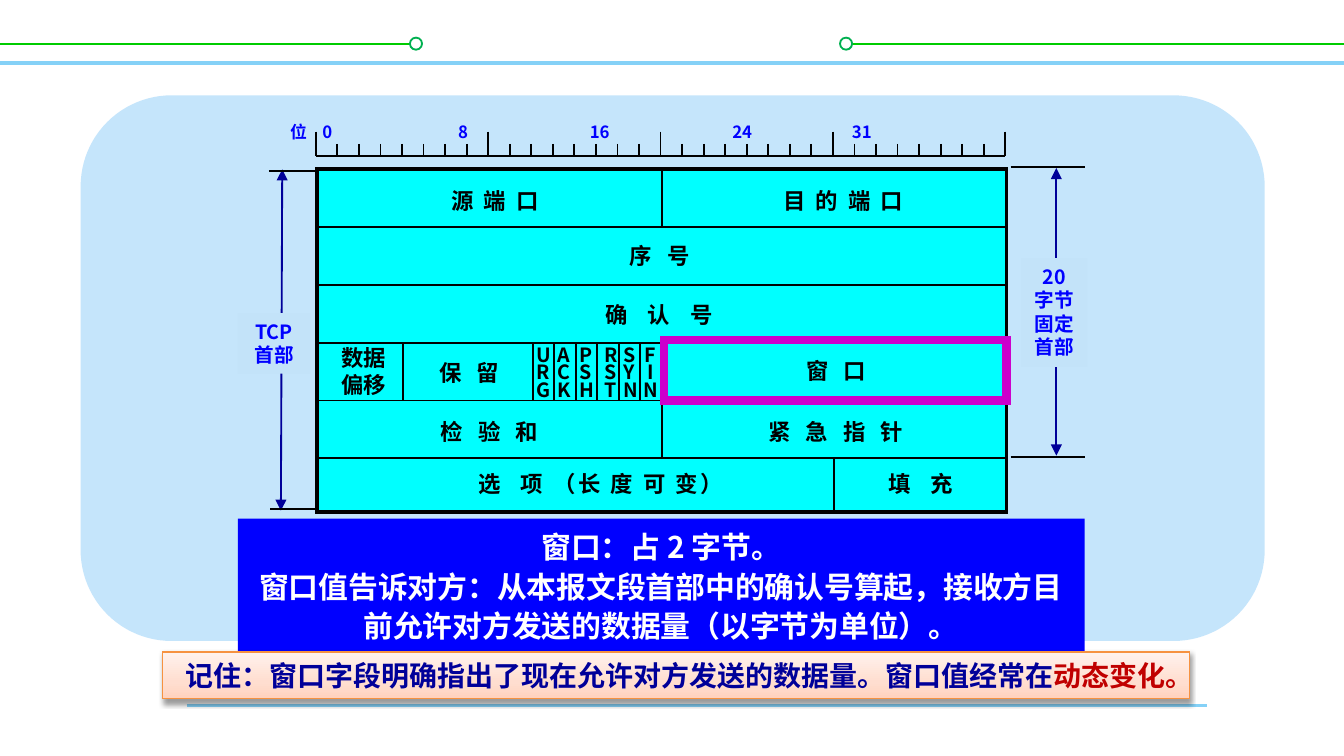
"""Build the slide on the window field of the TCP header."""
from lxml import etree
from pptx import Presentation
from pptx.dml.color import RGBColor
from pptx.enum.shapes import MSO_CONNECTOR, MSO_SHAPE
from pptx.enum.text import MSO_ANCHOR, MSO_AUTO_SIZE, PP_ALIGN
from pptx.oxml import parse_xml
from pptx.oxml.ns import nsdecls, qn
from pptx.util import Inches, Pt

STRAIGHT = MSO_CONNECTOR.STRAIGHT
RECT, ROUND, OVAL = MSO_SHAPE.RECTANGLE, MSO_SHAPE.ROUNDED_RECTANGLE, MSO_SHAPE.OVAL
LEFT, CENTER = PP_ALIGN.LEFT, PP_ALIGN.CENTER
TOP, MIDDLE = MSO_ANCHOR.TOP, MSO_ANCHOR.MIDDLE
GROW = MSO_AUTO_SIZE.SHAPE_TO_FIT_TEXT
FONT = "Noto Sans CJK SC"
PAGE_WIDTH = 10
PAGE_HEIGHT = PAGE_WIDTH * 9 / 16

COLORS = {
    "black": "000000", "white": "FFFFFF", "sky": "85D1F7", "lime": "00CC00",
    "green": "00B050", "panel": "C5E5FB", "label": "C3E3F9", "cyan": "00FFFF",
    "blue": "0000FF", "navy": "000099", "magenta": "CC00CC", "red": "C00000",
    "orange": "F69240",
}
BAR_STOPS = [(0, "FFD2BD"), (35, "FFDED0"), (100, "FFF2ED")]

DECOR_LINES = [
    (1.39, 5.25, 8.98, 5.25, "sky", 1.5), (0, 0.47, 10, 0.47, "sky", 2),
    (0, 0.33, 3.1, 0.33, "lime", 1), (6.25, 0.33, 10, 0.33, "lime", 1),
]
DECOR_RINGS = [3.05, 6.25]

HEAD_LEFT, HEAD_TOP, HEAD_WIDTH, HEAD_HEIGHT = 2.36, 1.26, 5.13, 2.55
ROW, BIT = 0.43, HEAD_WIDTH / 32
DIVIDERS = [(16, 3, 5), (24, 5, 5.93)] + [(bit, 3, 4) for bit in (4, 10, 11, 12, 13, 14, 15)]

FIELDS = [
    (3.26, 1.34, 0.91, LEFT, [("源 端 口", 2)]),
    (5.73, 1.34, 1.18, LEFT, [("目 的 端 口", 2)]),
    (4.45, 1.75, 0.92, CENTER, [("序 号", 3)]),
    (4.29, 2.19, 1.23, CENTER, [("确 认 号", 4)]),
    (3.17, 2.62, 0.69, LEFT, [("保 留", 3)]),
    (5.9, 2.61, 0.69, LEFT, [("窗 口", 3)]),
    (3.18, 3.06, 1.01, LEFT, [("检 验 和", 3)]),
    (5.62, 3.06, 1.33, LEFT, [("紧 急 指 针", 3)]),
    (3.32, 3.45, 2.3, CENTER, [("选 ", 4), ("项 （长 度 可 变）", 2)]),
    (6.51, 3.45, 0.84, LEFT, [("填 充", 4)]),
]
FLAGS = [("URG", 3.89, LEFT), ("ACK", 4.05, LEFT), ("PSH", 4.21, LEFT),
         ("RST", 4.4, LEFT), ("SYN", 4.54, LEFT), ("FIN", 4.68, CENTER)]

RULER_LEFT, RULER_BASE = 2.35, 1.16
RULER_TEXT = "位\t0\t8\t16\t24\t31"
RULER_TABS = [0.24, 1.25, 2.23, 3.29, 4.18]

ARROWS = [(2.1, 1.26, 2.09, 3.8), (7.86, 1.25, 7.86, 3.39)]
LIMITS = [(2, 1.27, 2.35), (2.01, 3.79, 2.36), (7.52, 1.24, 8.07), (7.52, 3.4, 8.07)]
WINDOW_NOTE = [
    "窗口：占 2 字节。",
    "窗口值告诉对方：从本报文段首部中的确认号算起，接收方目前允许对方发送的数据量（以字节为单位）。",
]
REMINDER = [("记住：窗口字段明确指出了现在允许对方发送的数据量。窗口值经常在", "navy"),
            ("动态变化。", "red")]


def rgb(name):
    return RGBColor.from_string(COLORS[name])


def add_line(page, x1, y1, x2, y2, color="black", width=1, arrows=False):
    line = page.shapes.add_connector(STRAIGHT, Inches(x1), Inches(y1), Inches(x2), Inches(y2))
    line.line.color.rgb = rgb(color)
    line.line.width = Pt(width)
    if arrows:
        for end in ("a:headEnd", "a:tailEnd"):
            etree.SubElement(line.line._get_or_add_ln(), qn(end), type="triangle")
    etree.SubElement(line._element.spPr, qn("a:effectLst"))
    return line


def add_box(page, kind, at, fill=None, color=None, width=1):
    box = page.shapes.add_shape(kind, *[Inches(length) for length in at])
    box.shadow.inherit = False
    if fill:
        box.fill.solid()
        box.fill.fore_color.rgb = rgb(fill)
    else:
        box.fill.background()
    if color:
        box.line.color.rgb = rgb(color)
        box.line.width = Pt(width)
        etree.SubElement(box.line._get_or_add_ln(), qn("a:miter"), lim="800000")
    else:
        box.line.fill.background()
    return box


def write(box, paras, size, color="black", align=CENTER, wrap=True, anchor=TOP, spacing=None):
    """Fill a box with paragraphs, each a list of (text, color, tracking) runs or a string."""
    frame = box.text_frame
    frame.word_wrap = wrap
    frame.auto_size = GROW
    frame.vertical_anchor = anchor
    for index, runs in enumerate(paras):
        para = frame.paragraphs[0] if index == 0 else frame.add_paragraph()
        para.alignment = align
        if spacing:
            para.line_spacing = spacing
        for text, tint, tracking in [(runs, color, 0)] if isinstance(runs, str) else runs:
            span = para.add_run()
            span.text = text
            span.font.name = FONT
            span.font.size = Pt(size)
            span.font.bold = True
            span.font.color.rgb = rgb(tint)
            props = span._r.get_or_add_rPr()
            etree.SubElement(props, qn("a:ea"), typeface=FONT)
            if tracking:
                props.set("spc", str(tracking))


def add_text(page, at, paras, size, **style):
    box = page.shapes.add_textbox(*[Inches(length) for length in at])
    write(box, paras, size, **style)
    return box


def draw_header(page):
    header = add_box(page, RECT, (HEAD_LEFT, HEAD_TOP, HEAD_WIDTH, HEAD_HEIGHT), "cyan", "black", 2)
    for row in range(1, 6):
        y = HEAD_TOP + row * ROW
        add_line(page, HEAD_LEFT, y, HEAD_LEFT + HEAD_WIDTH, y)
    middle = HEAD_LEFT + 16 * BIT
    add_line(page, middle, HEAD_TOP, middle, HEAD_TOP + ROW).begin_connect(header, 0)
    for bit, first, last in DIVIDERS:
        x = HEAD_LEFT + bit * BIT
        add_line(page, x, HEAD_TOP + first * ROW, x, HEAD_TOP + last * ROW)
    for left, top, width, align, parts in FIELDS:
        runs = [(text, "black", 135 * (gap - 1)) for text, gap in parts]
        add_text(page, (left, top, width, 0.3), [runs], 12, align=align)
    add_text(page, (2.44, 2.51, 0.54, 0.5), ["数据", "偏移"], 12, align=LEFT, wrap=False)
    for flag, left, align in FLAGS:
        add_text(page, (left, 2.54, 0.32, 0.52), list(flag), 10.5,
                 align=align, wrap=False, spacing=0.75)


def draw_ruler(page):
    add_line(page, RULER_LEFT, RULER_BASE, RULER_LEFT + HEAD_WIDTH, RULER_BASE)
    for bit in range(33):
        x = RULER_LEFT + bit * BIT
        add_line(page, x, 1.07 if bit % 8 else 0.98, x, RULER_BASE)
    scale = add_text(page, (2.06, 0.86, 5.58, 0.25), [RULER_TEXT], 9, color="blue", align=LEFT)
    tabs = etree.SubElement(scale.text_frame.paragraphs[0]._p.get_or_add_pPr(), qn("a:tabLst"))
    for stop in RULER_TABS:
        etree.SubElement(tabs, qn("a:tab"), pos=str(Inches(stop)), algn="l")


def draw_reminder(page):
    bar = add_box(page, RECT, (1.21, 4.85, 7.64, 0.35), "white", "orange", 0.75)
    props = bar._element.spPr
    stops = "".join(f'<a:gs pos="{pos * 1000}"><a:srgbClr val="{tint}"/></a:gs>'
                    for pos, tint in BAR_STOPS)
    props.replace(props.find(qn("a:solidFill")), parse_xml(
        f'<a:gradFill {nsdecls("a")} rotWithShape="1"><a:gsLst>{stops}</a:gsLst>'
        '<a:lin ang="16200000" scaled="0"/></a:gradFill>'))
    props.find(qn("a:effectLst")).append(parse_xml(
        f'<a:outerShdw {nsdecls("a")} blurRad="{Pt(3.1)}" dist="{Pt(1.6)}" dir="5400000" '
        'rotWithShape="0"><a:srgbClr val="000000"><a:alpha val="38000"/></a:srgbClr></a:outerShdw>'))
    write(bar, [[(text, tint, 0) for text, tint in REMINDER]], 15)


def main():
    deck = Presentation()
    deck.slide_width, deck.slide_height = Inches(PAGE_WIDTH), Inches(PAGE_HEIGHT)
    page = deck.slides.add_slide(deck.slide_layouts[6])
    for line in DECOR_LINES:
        add_line(page, *line)
    for left in DECOR_RINGS:
        add_box(page, OVAL, (left, 0.28, 0.09, 0.09), "white", "green")
    add_box(page, ROUND, (0.6, 0.71, 8.81, 4.06), "panel")
    for arrow in ARROWS:
        add_line(page, *arrow, "navy", arrows=True)
    fixed = add_box(page, RECT, (7.6, 1.92, 0.49, 0.81), "label")
    write(fixed, ["20", "字节", "固定", "首部"], 10.5, "blue", wrap=False)
    draw_header(page)
    for left, y, right in LIMITS:
        add_line(page, left, y, right, y)
    note = add_box(page, RECT, (1.77, 3.86, 6.3, 0.99), "blue")
    write(note, WINDOW_NOTE, 16, "white", spacing=1.1)
    add_box(page, RECT, (4.94, 2.53, 2.55, 0.45), None, "magenta", 4.5)
    draw_ruler(page)
    total = add_box(page, RECT, (1.77, 2.33, 0.54, 0.45), "label")
    write(total, ["TCP 首部"], 10.5, "blue", anchor=MIDDLE)
    draw_reminder(page)
    deck.save("out.pptx")


if __name__ == "__main__":
    main()
